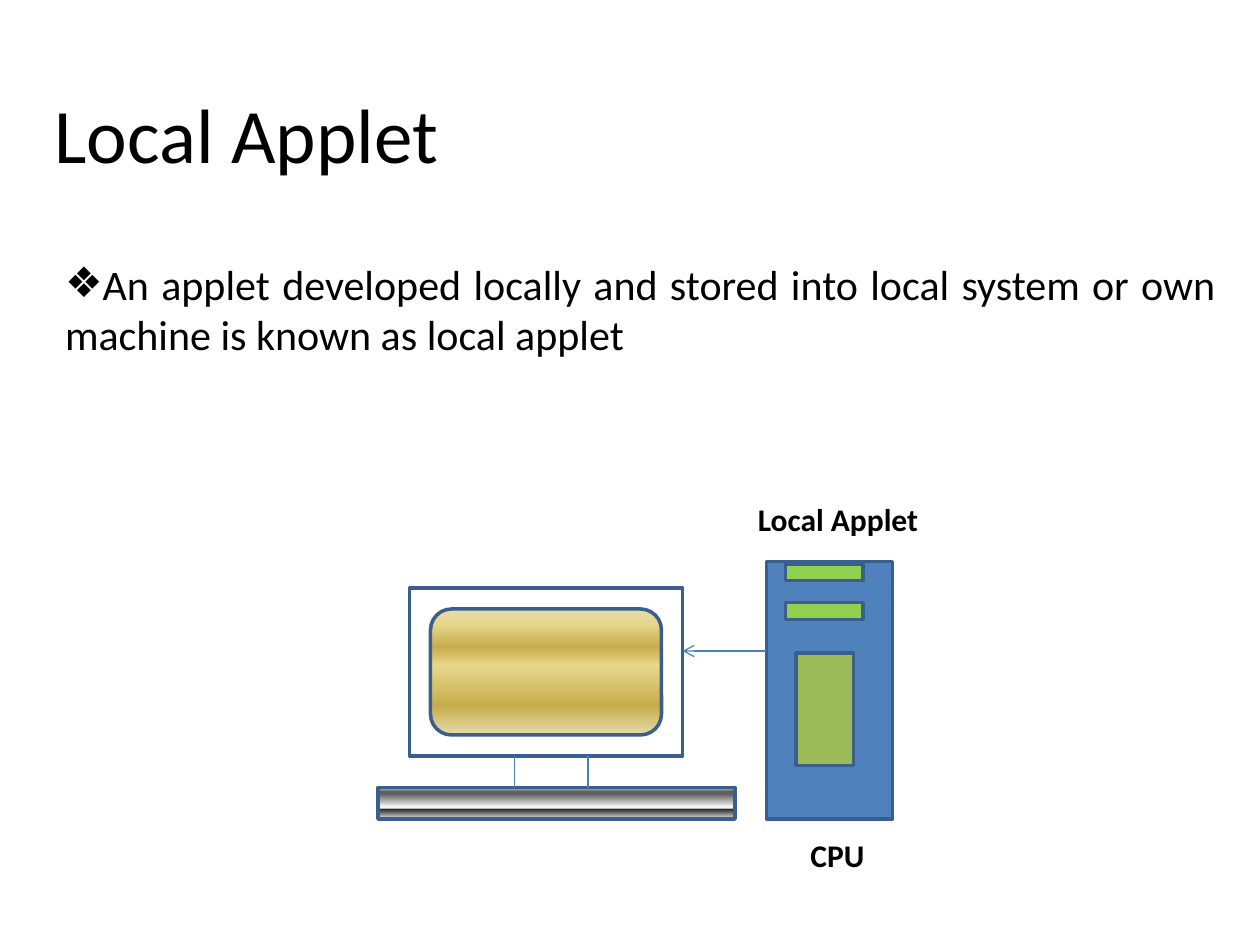
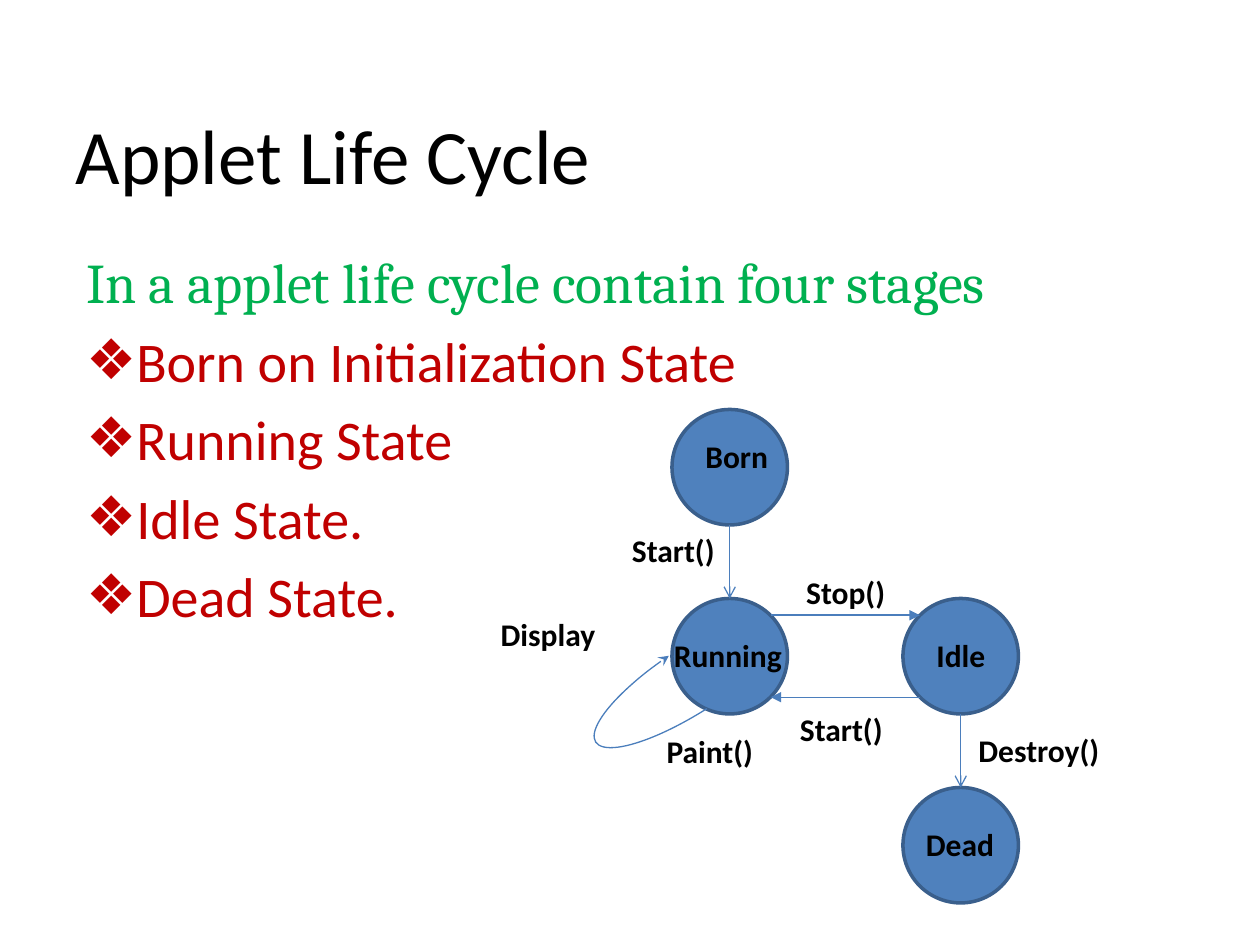
from lxml import etree
from pptx import Presentation
from pptx import util as u
from pptx.dml.color import RGBColor
from pptx.enum import shapes as sh, text as tx
from pptx.oxml.ns import qn

COLS, ROWS = 120, 90
INK = {
    "black": "000000", "blue": "4F81BD", "edge": "3A5F8C", "wire": "4B7EBC",
    "lime": "92D050", "olive": "9BBB59", "green": "00B050", "red": "C00000",
}
GOLD = [(0, "E6DCAC"), (12, "E6D78A"), (30, "C7AC4C"),
        (45, "E6D78A"), (77, "C7AC4C"), (100, "E6DCAC")]
STEEL = [(0, "CBCBCB"), (13, "5F5F5F"), (21, "5F5F5F"), (63, "FFFFFF"),
         (67, "B2B2B2"), (69, "292929"), (82, "777777"), (100, "EAEAEA")]
KIND = sh.MSO_SHAPE


def rgb(name):
    return RGBColor.from_string(INK[name])


class Deck:
    """Shared style and current slide; lengths are grid columns and rows."""

    def __init__(self):
        self.prs = Presentation()
        self.prs.slide_width, self.prs.slide_height = u.Inches(10), u.Inches(7.5)
        self.slide = None

    def grid(self, x, y):
        return (round(self.prs.slide_width * x / COLS),
                round(self.prs.slide_height * y / ROWS))

    def place(self, item, x, y, w, h):
        item.left, item.top = self.grid(x, y)
        item.width, item.height = self.grid(w, h)

    def font(self, para, size, ink="black", face="Calibri", bold=None):
        font = para.font
        font.size, font.name, font.bold = u.Pt(size), face, bold
        font.color.rgb = rgb(ink)

    def title(self, words, x, y):
        self.slide = self.prs.slides.add_slide(self.prs.slide_layouts[0])
        head = self.slide.shapes.title
        self.place(head, x, y, 102, 19.33)
        frame = head.text_frame
        frame.text = words
        frame.vertical_anchor = tx.MSO_ANCHOR.MIDDLE
        frame.paragraphs[0].alignment = tx.PP_ALIGN.LEFT
        self.font(frame.paragraphs[0], 44)

    def body(self, box, size, items, ink="black", lead=None):
        """Fill the body with bulleted items below an optional plain lead line."""
        hold = self.slide.placeholders[1]
        self.place(hold, *box)
        frame = hold.text_frame
        frame.auto_size = tx.MSO_AUTO_SIZE.NONE
        frame.text = "\n".join(([lead] if lead else []) + items)
        for i, para in enumerate(frame.paragraphs):
            para.alignment = tx.PP_ALIGN.JUSTIFY
            if lead and i == 0:
                self.font(para, size, "green", "Cambria")
            else:
                self.bullet(para, ink)
                self.font(para, size, ink)

    def bullet(self, para, ink):
        props = para._p.get_or_add_pPr()
        tint = etree.SubElement(props, qn("a:buClr"))
        etree.SubElement(tint, qn("a:srgbClr"), val=INK[ink])
        etree.SubElement(props, qn("a:buChar"), char="❖")

    def shape(self, kind, box, fill=None):
        """Add an outlined shape; fill is a colour name, gradient stops or None."""
        item = self.slide.shapes.add_shape(kind, 0, 0, 0, 0)
        self.place(item, *box)
        item.shadow.inherit = False
        item.line.color.rgb, item.line.width = rgb("edge"), u.Pt(2)
        if fill is None:
            item.fill.background()
        elif isinstance(fill, str):
            item.fill.solid()
            item.fill.fore_color.rgb = rgb(fill)
        else:
            self.blend(item, fill)
        return item

    def blend(self, item, stops):
        item.fill.gradient()
        item.fill.gradient_angle = 270
        ramp = item._element.find(".//" + qn("a:gsLst"))
        ramp.clear()
        for share, tone in stops:
            stop = etree.SubElement(ramp, qn("a:gs"), pos=str(share * 1000))
            etree.SubElement(stop, qn("a:srgbClr"), val=tone)

    def wire(self, item, tip=None, width=0.75):
        """Style a thin line and its arrowhead."""
        item.line.color.rgb, item.line.width = rgb("wire"), u.Pt(width)
        if tip:
            line = item.line._get_or_add_ln()
            etree.SubElement(line, qn("a:tailEnd"), type=tip)

    def line(self, start, end, tip=None, width=0.75):
        item = self.slide.shapes.add_connector(
            sh.MSO_CONNECTOR.STRAIGHT, *self.grid(*start), *self.grid(*end))
        self.wire(item, tip, width)
        etree.SubElement(item._element.spPr, qn("a:effectLst"))

    def loop(self, box, turn, ends):
        arc = self.shape(KIND.ARC, box)
        arc.rotation = turn
        arc.adjustments[0], arc.adjustments[1] = ends
        self.wire(arc, "stealth")
        # the effect list must follow the line with its arrowhead
        arc.shadow.inherit = False

    def label(self, words, x, y, w):
        item = self.slide.shapes.add_textbox(*self.grid(x, y), *self.grid(w, 4.8))
        frame = item.text_frame
        frame.word_wrap = False
        frame.auto_size = tx.MSO_AUTO_SIZE.SHAPE_TO_FIT_TEXT
        frame.text = words
        self.font(frame.paragraphs[0], 18, bold=True)


def local(deck):
    deck.title("Local Applet", 4, 3)
    deck.body((5, 24, 112, 62), 24, [
        "An applet developed locally and stored into local system "
        "or own machine is known as local applet"])

    deck.shape(KIND.RECTANGLE, (73, 53.5, 12, 24.5), "blue")
    for top in (53.7, 57.4):
        deck.shape(KIND.RECTANGLE, (74.8, top, 7.4, 1.6), "lime")
    deck.shape(KIND.RECTANGLE, (75.8, 62.2, 5.5, 10.7), "olive")

    deck.shape(KIND.RECTANGLE, (39, 56, 26, 16))
    deck.shape(KIND.ROUNDED_RECTANGLE, (41, 58, 22, 12), GOLD)
    deck.shape(KIND.RECTANGLE, (36, 75, 34, 3), STEEL)
    for leg in (49, 56):
        deck.line((leg, 72), (leg, 75))
    deck.line((73, 62), (65, 62), "arrow")

    deck.label("CPU", 76, 79, 7.6)
    deck.label("Local Applet", 71, 47, 17.9)


def cycle(deck):
    deck.title("Applet Life Cycle", 6, 5)
    deck.body((7, 23, 108, 60), 32, [
        "Born on Initialization State", "Running State",
        "Idle State.", "Dead State."],
        "red", "In a applet life cycle contain four stages")

    size, left, right = 11, 64, 86
    born, mid, dead = (39 + 18 * i for i in range(3))
    for x, y in ((left, born), (left, mid), (right, mid), (right, dead)):
        deck.shape(KIND.OVAL, (x, y, size, size), "blue")
    for x, y in ((left, born), (right, mid)):
        x += size / 2
        deck.line((x, y + size), (x, y + 18), "arrow")
    inset = 1.6
    near, far = left + size - inset, right + inset
    high, low = mid + inset, mid + size - inset
    deck.line((near, high), (far, high), "triangle", 1)
    deck.line((far, low), (near, low), "triangle")
    deck.loop((62.9, 53.6, 6.2, 22.1), 237, (112.93, 207.99))

    for words, x, y, w in (
            ("Born", 66, 41, 9), ("Running", 63, 60, 12.7),
            ("Idle", 88, 60, 7.1), ("Dead", 87, 78, 9),
            ("Start()", 59, 50, 10.4), ("Stop()", 75.6, 54, 10),
            ("Start()", 75, 67, 10.4), ("Destroy()", 92, 69, 14),
            ("Paint()", 62.3, 69.1, 10.8), ("Display", 46.5, 58, 11.5)):
        deck.label(words, x, y, w)


def main():
    deck = Deck()
    local(deck)
    cycle(deck)
    deck.prs.save("out.pptx")


if __name__ == "__main__":
    main()
